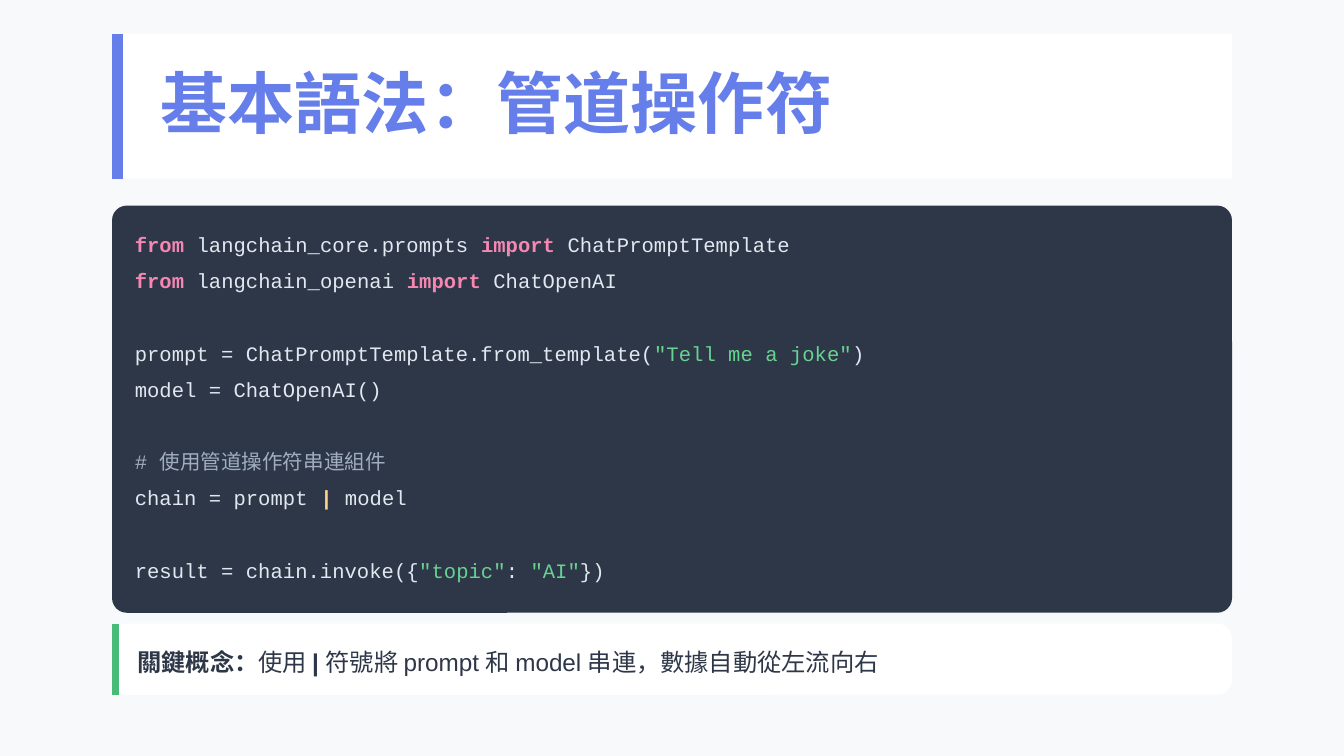
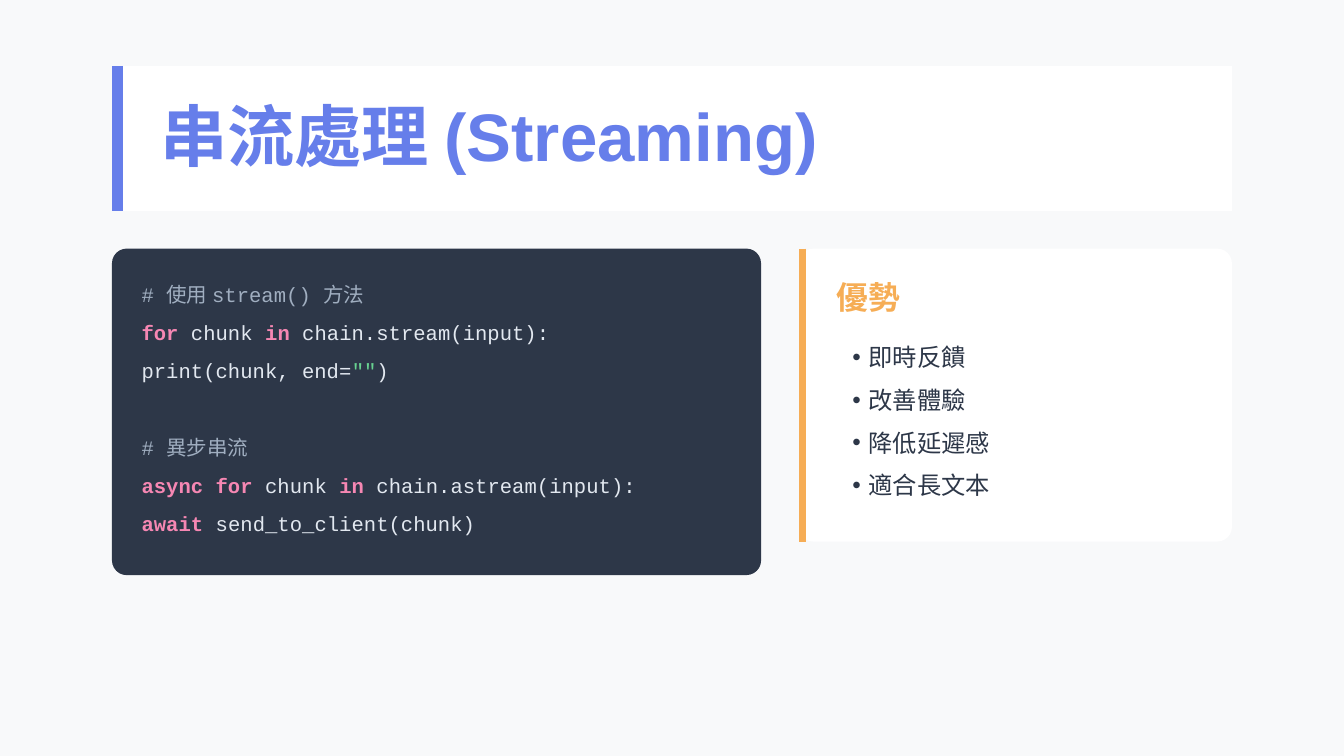
import dataclasses

import pptx
import pptx.dml.color
import pptx.enum.shapes
import pptx.enum.text
import pptx.oxml
import pptx.oxml.ns
import pptx.util
from pptx.util import Inches, Pt

SLIDE_WIDTH = 10
SLIDE_HEIGHT = SLIDE_WIDTH * 9 / 16


@dataclasses.dataclass(frozen=True)
class Theme:
    background: str = "F8F9FA"
    card: str = "FFFFFF"
    ink: str = "2D3748"
    title: str = "667EEA"
    green: str = "48BB78"
    orange: str = "F6AD55"
    sans: str = "Arial"
    mono: str = "Courier New"
    title_size: float = 36
    heading_size: float = 17
    body_size: float = 13
    code_size: float = 11
    code_leading: float = 15.4
    left: float = SLIDE_WIDTH / 12
    width: float = SLIDE_WIDTH * 10 / 12
    radius: float = 0.11


THEME = Theme()
# Token kind: (colour, bold)
SYNTAX = {
    "plain": ("E2E8F0", False),
    "keyword": ("F687B3", True),
    "string": ("68D391", False),
    "comment": ("A0AEC0", False),
    "pipe": ("FBD38D", True),
}

PIPE_TITLE = "基本語法：管道操作符"
# One list of tokens for each code line; an empty list leaves a row free.
PIPE_CODE = [
    [("from", "keyword"), (" langchain_core.prompts ", "plain"),
     ("import", "keyword"), (" ChatPromptTemplate", "plain")],
    [("from", "keyword"), (" langchain_openai ", "plain"),
     ("import", "keyword"), (" ChatOpenAI", "plain")],
    [],
    [("prompt = ChatPromptTemplate.from_template(", "plain"),
     ('"Tell me a joke"', "string"), (")", "plain")],
    [("model = ChatOpenAI()", "plain")],
    [],
    [("# 使用管道操作符串連組件", "comment")],
    [("chain = prompt ", "plain"), ("|", "pipe"), (" model", "plain")],
    [],
    [("result = chain.invoke({", "plain"), ('"topic"', "string"),
     (": ", "plain"), ('"AI"', "string"), ("})", "plain")],
]
KEY_CONCEPT = [
    ("關鍵概念：", True),
    ("使用 ", False),
    ("|", True),
    (" 符號將 prompt 和 model 串連，數據自動從左流向右", False),
]

STREAM_TITLE = "串流處理 (Streaming)"
STREAM_CODE = [
    [("# 使用 stream() 方法", "comment")],
    [("for", "keyword"), (" chunk ", "plain"), ("in", "keyword"),
     (" chain.stream(input):", "plain")],
    [("print(chunk, end=", "plain"), ('""', "string"), (")", "plain")],
    [],
    [("# 異步串流", "comment")],
    [("async for", "keyword"), (" chunk ", "plain"), ("in", "keyword"),
     (" chain.astream(input):", "plain")],
    [("await", "keyword"), (" send_to_client(chunk)", "plain")],
]
BENEFITS_HEADING = "優勢"
BENEFITS = ["即時反饋", "改善體驗", "降低延遲感", "適合長文本"]


def rgb(value):
    return pptx.dml.color.RGBColor.from_string(value)


def drawing_element(tag, attributes=""):
    return pptx.oxml.parse_xml(f'<a:{tag} {pptx.oxml.ns.nsdecls("a")} {attributes}/>')


def add_text(slide, paragraphs, left, top, width, height, *, size, font=THEME.sans,
             leading=None, space_after=None, bullet=None, indent=0):
    """Each paragraph is a list of (text, colour, bold) runs."""
    box = slide.shapes.add_textbox(Inches(left), Inches(top), Inches(width), Inches(height))
    frame = box.text_frame
    frame.word_wrap = True
    frame.margin_left = Inches(indent)
    frame.margin_top = frame.margin_right = frame.margin_bottom = 0
    frame.vertical_anchor = pptx.enum.text.MSO_ANCHOR.TOP
    for index, runs in enumerate(paragraphs):
        paragraph = frame.add_paragraph() if index else frame.paragraphs[0]
        if leading:
            paragraph.line_spacing = Pt(leading)
        if space_after:
            paragraph.space_after = Pt(space_after)
        if bullet:
            properties = paragraph._p.get_or_add_pPr()
            properties.set("marL", str(Inches(indent)))
            properties.set("indent", str(-Inches(indent)))
            properties.append(drawing_element("buFont", f'typeface="{font}"'))
            properties.append(drawing_element("buChar", f'char="{bullet}"'))
        for text, colour, bold in runs:
            run = paragraph.add_run()
            run.text = text
            run.font.name = font
            run.font.size = Pt(size)
            run.font.bold = bold
            run.font.color.rgb = rgb(colour)


def add_panel(slide, left, top, width, height, fill, rounded=True):
    kinds = pptx.enum.shapes.MSO_SHAPE
    kind = kinds.ROUNDED_RECTANGLE if rounded else kinds.RECTANGLE
    shape = slide.shapes.add_shape(
        kind, Inches(left), Inches(top), Inches(width), Inches(height))
    if rounded:
        shape.adjustments[0] = THEME.radius / min(width, height)
    shape.shadow.inherit = False
    shape.fill.solid()
    shape.fill.fore_color.rgb = rgb(fill)
    shape.line.fill.background()


def add_accent(slide, left, top, height, colour, weight):
    """Draw a vertical stripe whose left edge lies on the panel's left edge."""
    x = Inches(left) + Pt(weight / 2)
    line = slide.shapes.add_connector(
        pptx.enum.shapes.MSO_CONNECTOR.STRAIGHT, x, Inches(top), x, Inches(top + height))
    line.line.color.rgb = rgb(colour)
    line.line.width = Pt(weight)
    line._element.spPr.append(drawing_element("effectLst"))


def add_card(slide, left, top, width, height, accent, weight=3.75, rounded=True):
    add_panel(slide, left, top, width, height, THEME.card, rounded)
    add_accent(slide, left, top, height, accent, weight)


def add_title(slide, text, top):
    add_card(slide, THEME.left, top, THEME.width, 1.08, THEME.title, weight=6, rounded=False)
    add_text(slide, [[(text, THEME.title, True)]], THEME.left + 0.36, top + 0.21, 7.85, 0.67,
             size=THEME.title_size)


def add_code(slide, lines, top, width, height, padding, text_width, space_after):
    add_panel(slide, THEME.left, top, width, height, THEME.ink)
    pad_x, pad_y = padding
    pitch = (THEME.code_leading + space_after) / 72
    for row, tokens in enumerate(lines):
        if tokens:
            add_text(slide, [[(text, *SYNTAX[kind]) for text, kind in tokens]],
                     THEME.left + pad_x, top + pad_y + row * pitch, text_width, 0.21,
                     size=THEME.code_size, font=THEME.mono,
                     leading=THEME.code_leading, space_after=space_after)


def add_slide(presentation):
    slide = presentation.slides.add_slide(presentation.slide_layouts[6])
    slide.background.fill.solid()
    slide.background.fill.fore_color.rgb = rgb(THEME.background)
    return slide


def build_pipe_slide(presentation):
    slide = add_slide(presentation)
    add_title(slide, PIPE_TITLE, 0.25)
    add_code(slide, PIPE_CODE, 1.53, THEME.width, 3.03, (0.17, 0.165), 8.16, space_after=4)
    concept_top = 4.64
    add_card(slide, THEME.left, concept_top, THEME.width, 0.53, THEME.green)
    add_text(slide, [[(text, THEME.ink, bold) for text, bold in KEY_CONCEPT]],
             THEME.left + 0.19, concept_top + 0.14, 8.16, 0.25,
             size=THEME.body_size, leading=18.2)


def build_stream_slide(presentation):
    slide = add_slide(presentation)
    add_title(slide, STREAM_TITLE, 0.49)
    top, code_width, gap = 1.85, 4.83, 0.28
    add_code(slide, STREAM_CODE, top, code_width, 2.43, (0.22, 0.22), 4.48, space_after=5)
    left = THEME.left + code_width + gap
    add_card(slide, left, top, THEME.width - code_width - gap, 2.18, THEME.orange)
    add_text(slide, [[(BENEFITS_HEADING, THEME.orange, True)]],
             left + 0.28, top + 0.22, 2.78, 0.32, size=THEME.heading_size, space_after=10)
    add_text(slide, [[(benefit, THEME.ink, False)] for benefit in BENEFITS],
             left + 0.28, top + 0.68, 2.73, 1.19, size=THEME.body_size,
             leading=16.9, space_after=6, bullet="•", indent=0.12)


def main():
    presentation = pptx.Presentation()
    presentation.slide_width = Inches(SLIDE_WIDTH)
    presentation.slide_height = Inches(SLIDE_HEIGHT)
    build_pipe_slide(presentation)
    build_stream_slide(presentation)
    presentation.save("out.pptx")


if __name__ == "__main__":
    main()
